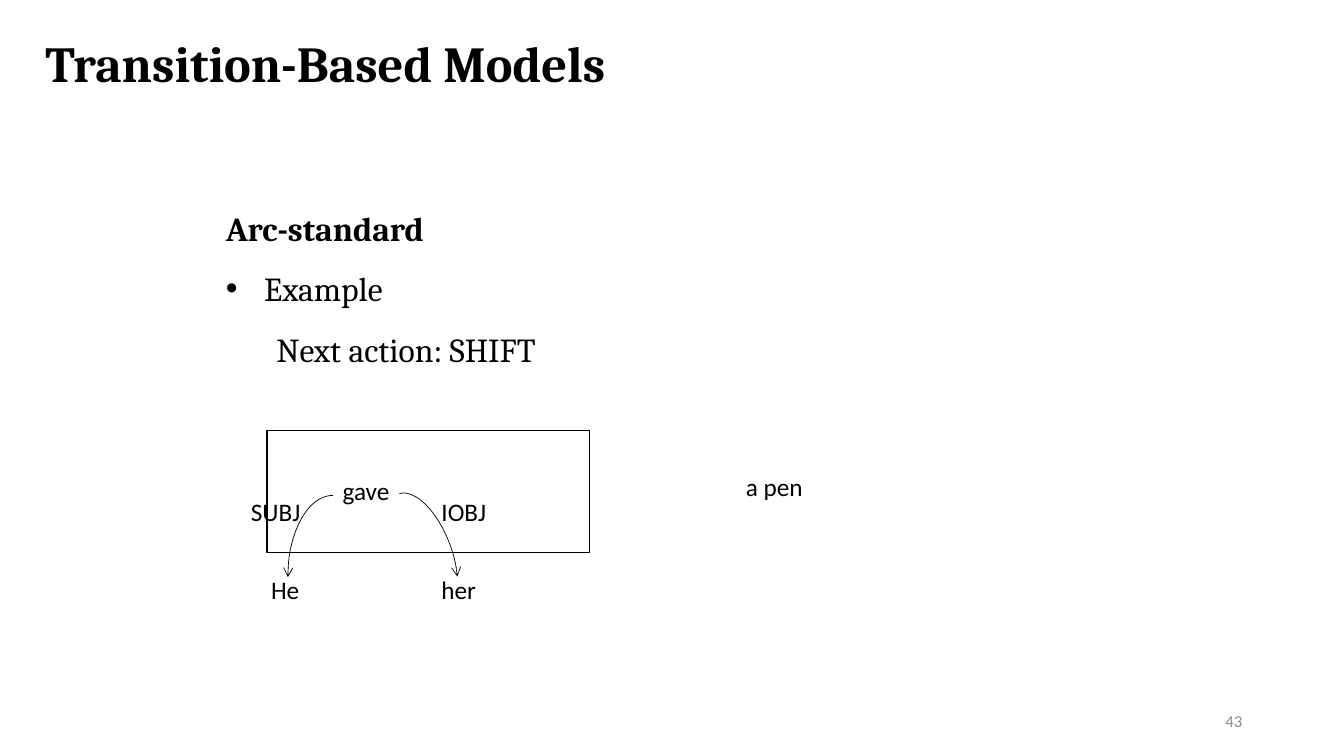
from dataclasses import dataclass
from typing import Any

from lxml import etree
from pptx import Presentation
from pptx.dml.color import RGBColor
from pptx.enum.shapes import MSO_SHAPE
from pptx.enum.text import MSO_ANCHOR, MSO_AUTO_SIZE, PP_ALIGN
from pptx.oxml.ns import qn
from pptx.util import Inches, Pt

ARC, RECT = MSO_SHAPE.ARC, MSO_SHAPE.RECTANGLE
TOP, MIDDLE = MSO_ANCHOR.TOP, MSO_ANCHOR.MIDDLE
LEFT, RIGHT = PP_ALIGN.LEFT, PP_ALIGN.RIGHT
FIXED = MSO_AUTO_SIZE.NONE

Box = tuple[float, float, float, float]


@dataclass(frozen=True)
class Theme:
    ink: RGBColor = RGBColor(0, 0, 0)
    gray: RGBColor = RGBColor(0x8C, 0x8C, 0x8C)
    serif: str = "Cambria"
    sans: str = "Calibri"
    title: int = 36
    body: int = 24
    label: int = 18
    number: int = 12


@dataclass(frozen=True)
class Label:
    text: str
    box: Box
    wrap: bool = False


@dataclass(frozen=True)
class Item:
    text: str
    level: int = 0
    margin: float = 0
    indent: float = 0
    bullet: str = ""
    bold: bool = False


@dataclass(frozen=True)
class Arc:
    box: Box
    turn: float
    angles: tuple[float, ...] = ()
    flip: bool = False


THEME = Theme()

ITEMS = [
    Item("Arc-standard", bold=True),
    Item("Example", margin=0.38, indent=-0.38, bullet="•"),
    Item("Next action: SHIFT", level=1, margin=0.5),
]
LABELS = [
    Label("a pen", (7.3, 4.63, 2.66, 0.4), True),
    Label("He", (2.59, 5.65, 0.53, 0.4), True),
    Label("gave", (3.3, 4.67, 0.67, 0.71)),
    Label("SUBJ", (2.39, 4.87, 0.75, 0.4)),
    Label("IOBJ", (4.28, 4.87, 0.65, 0.4)),
    Label("her", (4.28, 5.65, 0.55, 0.4)),
]
ARCS = [
    Arc((2.49, 5.28, 1.62, 0.89), 270),
    Arc((3.53, 5.2, 1.29, 0.61), 249.5, (131.2, 215.32), True),
]


def apply(target: Any, values: dict[str, Any]) -> None:
    for name, value in values.items():
        setattr(target, name, value)


def place(shape: Any, box: Box) -> None:
    sides = ("left", "top", "width", "height")
    apply(shape, dict(zip(sides, map(Inches, box))))


def setup(frame: Any, wrap: bool = True, anchor: Any = TOP) -> None:
    apply(frame, {"word_wrap": wrap, "auto_size": FIXED,
                  "vertical_anchor": anchor})


def write(para: Any, text: str, font: str, size: int, bold: bool = False,
          color: RGBColor = THEME.ink) -> None:
    run = para.add_run()
    run.text = text
    apply(run.font, {"name": font, "size": Pt(size), "bold": bold})
    run.font.color.rgb = color


def add_text(slide: Any, label: Label, size: int, color: RGBColor,
             align: Any = LEFT, anchor: Any = TOP) -> None:
    frame = slide.shapes.add_textbox(*map(Inches, label.box)).text_frame
    setup(frame, label.wrap, anchor)
    para = frame.paragraphs[0]
    para.alignment = align
    write(para, label.text, THEME.sans, size, color=color)


def add_item(para: Any, item: Item) -> None:
    props = para._p.get_or_add_pPr()
    props.set("marL", str(Inches(item.margin)))
    props.set("indent", str(Inches(item.indent)))
    if item.bullet:
        etree.SubElement(props, qn("a:buFont"), typeface="Arial")
        etree.SubElement(props, qn("a:buChar"), char=item.bullet)
    else:
        etree.SubElement(props, qn("a:buNone"))
    apply(para, {"level": item.level, "line_spacing": 1.5,
                 "space_before": Pt(0), "alignment": LEFT})
    write(para, item.text, THEME.serif, THEME.body, item.bold)


def add_outline(slide: Any, kind: Any, box: Box, width: float) -> Any:
    shape = slide.shapes.add_shape(kind, *map(Inches, box))
    shape.shadow.inherit = False
    shape.fill.background()
    shape.line.color.rgb = THEME.ink
    shape.line.width = Pt(width)
    return shape


def add_arc(slide: Any, arc: Arc) -> None:
    shape = add_outline(slide, ARC, arc.box, 0.5)
    shape.rotation = arc.turn
    for index, angle in enumerate(arc.angles):
        shape.adjustments[index] = angle
    if arc.flip:
        shape._element.spPr.find(qn("a:xfrm")).set("flipV", "1")
    line = shape._element.spPr.find(qn("a:ln"))
    etree.SubElement(line, qn("a:headEnd"), type="arrow")


def main() -> None:
    deck = Presentation()
    apply(deck, {"slide_width": Inches(13.33), "slide_height": Inches(7.5)})
    slide = deck.slides.add_slide(deck.slide_layouts[1])

    # Title
    title = slide.shapes.title
    place(title, (0.35, 0.27, 6.47, 0.71))
    setup(title.text_frame)
    head = title.text_frame.paragraphs[0]
    head.alignment = LEFT
    write(head, "Transition-Based Models", THEME.serif, THEME.title, True)

    # List
    body = slide.placeholders[1]
    place(body, (2.14, 1.81, 8.84, 1.87))
    frame = body.text_frame
    setup(frame)
    for index, item in enumerate(ITEMS):
        para = frame.add_paragraph() if index else frame.paragraphs[0]
        add_item(para, item)

    # Parse state: stack frame, arcs and words
    add_outline(slide, RECT, (2.65, 4.27, 3.2, 1.21), 1)
    for arc in ARCS:
        add_arc(slide, arc)
    for label in LABELS:
        add_text(slide, label, THEME.label, THEME.ink)

    # Slide number
    number = Label("43", (9.42, 6.95, 3, 0.4), True)
    add_text(slide, number, THEME.number, THEME.gray, RIGHT, MIDDLE)

    deck.save("out.pptx")


if __name__ == "__main__":
    main()
